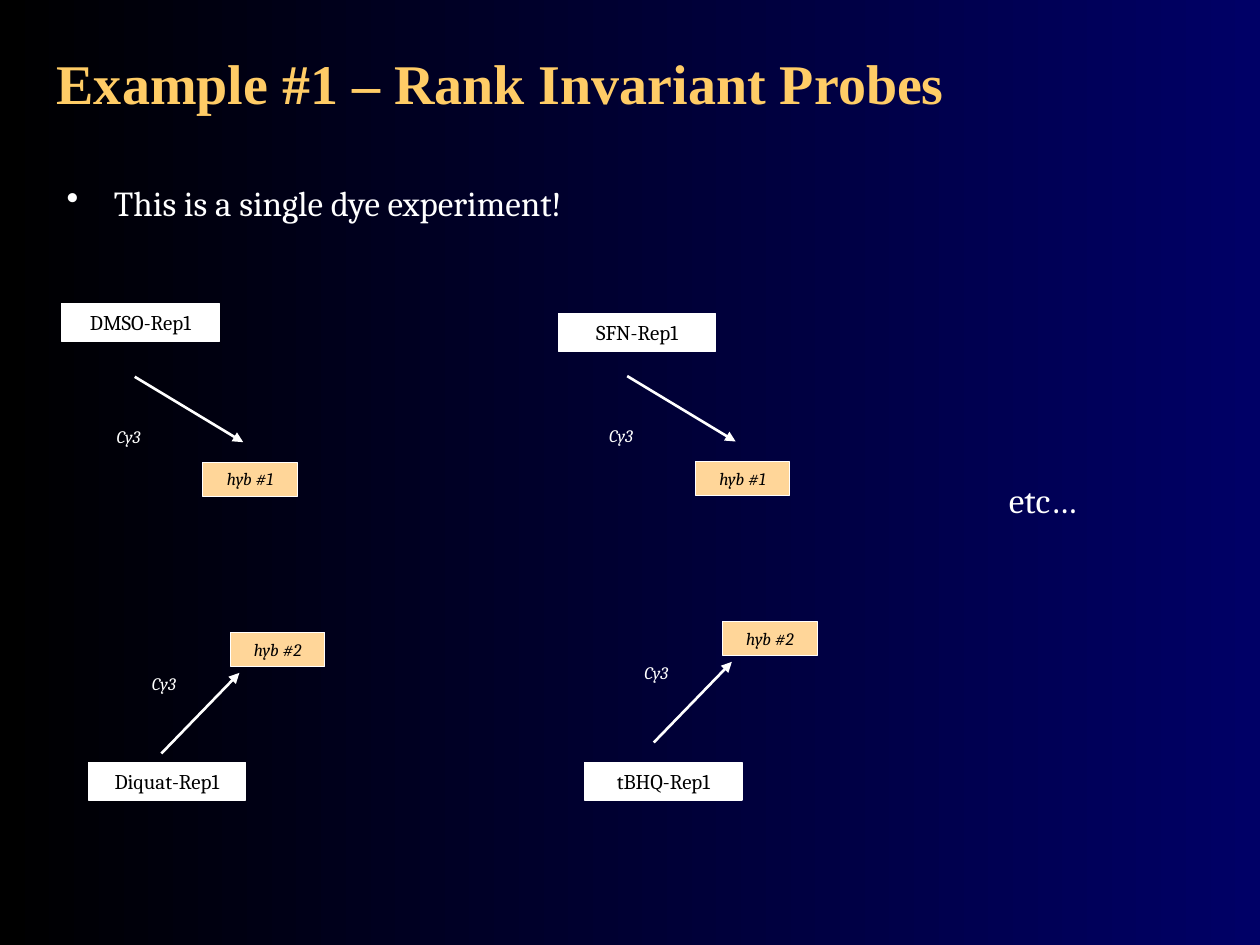
from lxml import etree
from pptx import Presentation
from pptx.dml.color import RGBColor
from pptx.enum.shapes import MSO_CONNECTOR, MSO_SHAPE
from pptx.enum.text import MSO_ANCHOR, MSO_AUTO_SIZE, PP_ALIGN
from pptx.oxml.ns import qn
from pptx.util import Pt

BLACK = RGBColor(0x00, 0x00, 0x00)
NAVY = RGBColor(0x00, 0x00, 0x66)
WHITE = RGBColor(0xFF, 0xFF, 0xFF)
GOLD = RGBColor(0xFF, 0xCC, 0x66)
PEACH = RGBColor(0xFF, 0xD6, 0x99)

SAMPLE_SIZE = (90, 21.6)
HYB_SIZE = (54, 19.4)
DYE_SIZE = (102.2, 19.4)

# Offsets from the tail of the arrow: its head, the hyb box, the dye label
FALLING = ((62, 37.4), (38.9, 48.9), (-54.7, 24.5))
RISING = ((44.6, -46.1), (39.4, -69.2), (-49.7, -49.7))

# Sample, its box, tail of the arrow, hyb number, direction
HYBRIDIZATIONS = [
    ("DMSO-Rep1", (35.3, 173.5), (77, 215.3), 1, FALLING),
    ("Diquat-Rep1", (50.4, 435.6), (92.2, 430.6), 2, RISING),
    ("SFN-Rep1", (319, 179.3), (358.4, 214.9), 1, FALLING),
    ("tBHQ-Rep1", (334.1, 435.6), (373.6, 424.3), 2, RISING),
]


def set_font(p, size, color, name="Cambria", bold=False, italic=False):
    font = p.font
    font.name, font.size = name, Pt(size)
    font.bold, font.italic = bold, italic
    font.color.rgb = color


def write(sp, text, size, color, align=PP_ALIGN.LEFT, italic=False):
    tf = sp.text_frame
    tf.word_wrap = True
    tf.auto_size = MSO_AUTO_SIZE.SHAPE_TO_FIT_TEXT
    tf.vertical_anchor = MSO_ANCHOR.TOP
    p = tf.paragraphs[0]
    p.text = text
    p.alignment = align
    set_font(p, size, color, italic=italic)


def add_text(s, box, text, size, align=PP_ALIGN.LEFT, italic=False):
    sp = s.shapes.add_textbox(*map(Pt, box))
    write(sp, text, size, WHITE, align, italic)
    return sp


def add_box(s, box, text, size, fill, italic=False):
    sp = s.shapes.add_shape(MSO_SHAPE.RECTANGLE, *map(Pt, box))
    sp.shadow.inherit = False
    sp.fill.solid()
    sp.fill.fore_color.rgb = fill
    sp.line.color.rgb = WHITE
    sp.line.width = Pt(0.75)
    write(sp, text, size, BLACK, PP_ALIGN.CENTER, italic)


def add_arrow(s, tail, head):
    c = s.shapes.add_connector(MSO_CONNECTOR.STRAIGHT, *map(Pt, tail + head))
    c.line.color.rgb = WHITE
    c.line.width = Pt(1.5)
    etree.SubElement(c.line._get_or_add_ln(), qn("a:tailEnd"), type="triangle")
    etree.SubElement(c._element.spPr, qn("a:effectLst"))


def add_hybridization(s, sample, sample_at, tail, number, direction):
    head, hyb_at, dye_at = [(tail[0] + dx, tail[1] + dy) for dx, dy in direction]
    add_box(s, sample_at + SAMPLE_SIZE, sample, 12, WHITE)
    add_arrow(s, tail, head)
    add_text(s, dye_at + DYE_SIZE, "Cy3", 10, PP_ALIGN.CENTER, italic=True)
    add_box(s, hyb_at + HYB_SIZE, f"hyb #{number}", 10, PEACH, italic=True)


def add_background(s):
    fill = s.background.fill
    fill.gradient()
    fill.gradient_angle = 0
    for stop, color, position in zip(fill.gradient_stops, (BLACK, NAVY), (0, 1)):
        stop.color.rgb = color
        stop.position = position


def add_title(s, box, text):
    sp = s.shapes.title
    sp.left, sp.top, sp.width, sp.height = map(Pt, box)
    tf = sp.text_frame
    tf.vertical_anchor = MSO_ANCHOR.MIDDLE
    p = tf.paragraphs[0]
    p.text = text
    p.alignment = PP_ALIGN.LEFT
    set_font(p, 32, GOLD, "Times New Roman", bold=True)


def add_bullet(s, box, text):
    sp = add_text(s, box, text, 20)
    pPr = sp.text_frame.paragraphs[0]._p.get_or_add_pPr()
    pPr.set("marL", str(Pt(27)))
    pPr.set("indent", str(Pt(-27)))
    bullet = etree.Element(qn("a:buChar"), char="•")
    pPr.insert(0, bullet)


def main():
    prs = Presentation()
    prs.slide_width, prs.slide_height = Pt(720), Pt(540)
    s = prs.slides.add_slide(prs.slide_layouts[5])
    add_background(s)
    add_title(s, (25.2, -13.7, 674.6, 121), "Example #1 – Rank Invariant Probes")
    add_bullet(s, (31, 100.1, 657.4, 31.7), "This is a single dye experiment!")
    for hybridization in HYBRIDIZATIONS:
        add_hybridization(s, *hybridization)
    add_text(s, (569.5, 270, 113, 31.7), "etc…", 20)
    prs.save("out.pptx")


if __name__ == "__main__":
    main()
